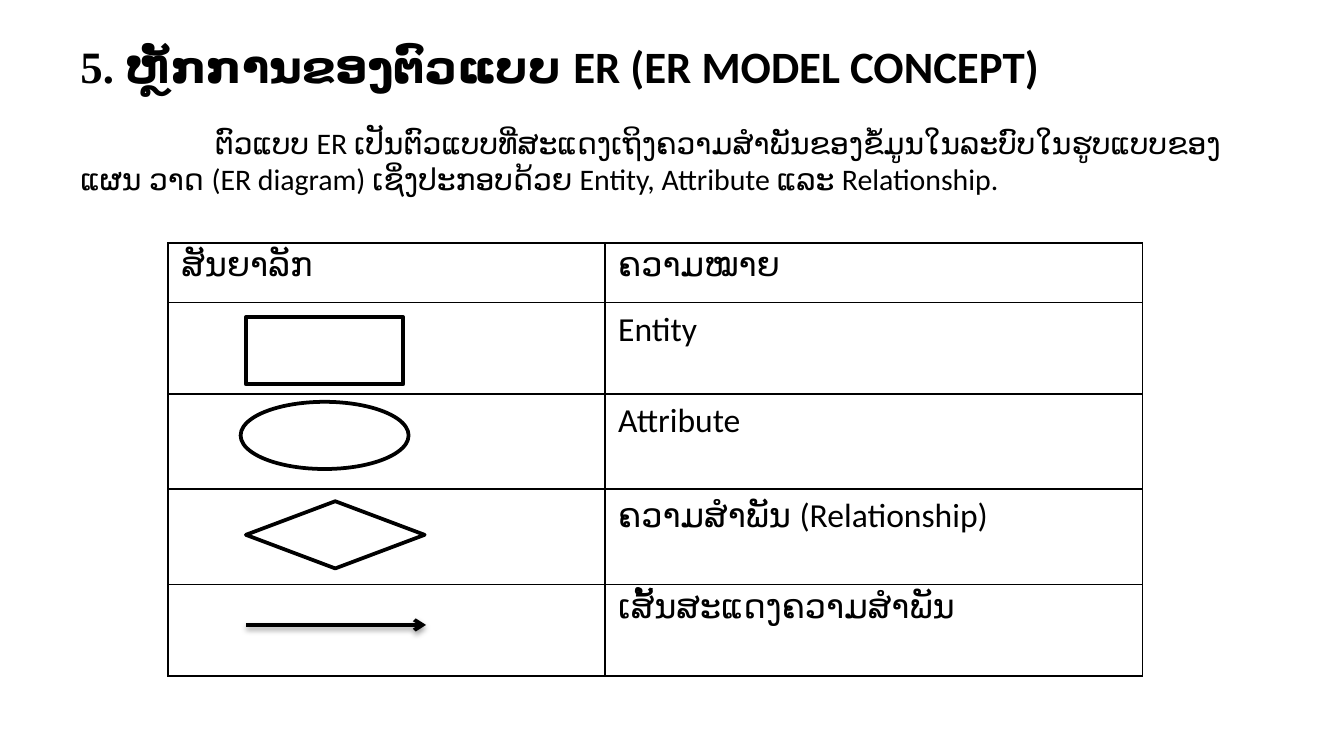
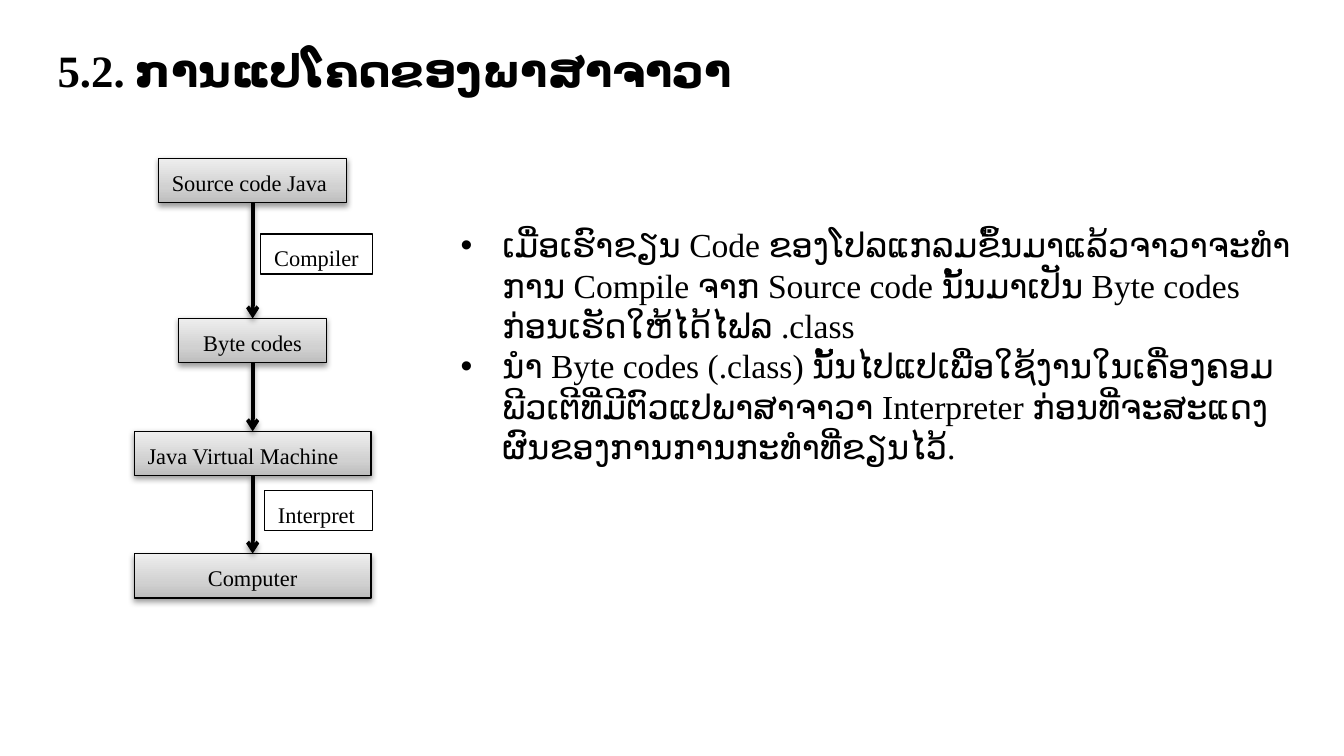
from typing import NamedTuple

from lxml import etree
from pptx import Presentation
from pptx.dml.color import RGBColor
from pptx.enum.shapes import MSO_CONNECTOR, MSO_SHAPE
from pptx.enum.text import MSO_ANCHOR, MSO_AUTO_SIZE, PP_ALIGN
from pptx.oxml import parse_xml
from pptx.oxml.ns import nsdecls, qn
from pptx.util import Emu, Pt

RECTANGLE = MSO_SHAPE.RECTANGLE
ELLIPSE = MSO_SHAPE.OVAL
DECISION = MSO_SHAPE.FLOWCHART_DECISION
STRAIGHT = MSO_CONNECTOR.STRAIGHT
TOP, MIDDLE = MSO_ANCHOR.TOP, MSO_ANCHOR.MIDDLE
LEFT, CENTER = PP_ALIGN.LEFT, PP_ALIGN.CENTER
GROW = MSO_AUTO_SIZE.SHAPE_TO_FIT_TEXT
SITE_TOP, SITE_BOTTOM = 0, 2

# Shared style: 100 px to the inch, slides 16:9
EMU_PER_PX = 9144
SLIDE_WIDTH = 1000
BLACK, WHITE = "000000", "FFFFFF"
SANS, SERIF = "Calibri", "Times New Roman"
GRADIENT_STOPS = [(0, "BDBDBD"), (35, "D1D1D1"), (100, "EEEEEE")]
BORDER_TAGS = ("a:lnL", "a:lnR", "a:lnT", "a:lnB")


class Box(NamedTuple):
    left: int
    top: int
    width: int
    height: int


class Symbol(NamedTuple):
    kind: int
    box: Box


class Stage(NamedTuple):
    text: str
    top: int
    width: int
    align: int


class Label(NamedTuple):
    text: str
    box: Box
    align: int


def px(length: int) -> Emu:
    return Emu(length * EMU_PER_PX)


def place(box: Box) -> list[Emu]:
    return [px(length) for length in box]


def color(value: str) -> RGBColor:
    return RGBColor.from_string(value)


def format_run(run, size: int, font: str, bold: bool = False) -> None:
    run.font.size = Pt(size)
    run.font.name = font
    run.font.bold = bold
    run.font.color.rgb = color(BLACK)


def add_text_box(slide, box: Box, anchor: int = TOP):
    shape = slide.shapes.add_textbox(*place(box))
    shape.text_frame.word_wrap = True
    shape.text_frame.vertical_anchor = anchor
    return shape


def add_title(slide, box: Box, parts: list[tuple[str, str]], anchor: int):
    shape = add_text_box(slide, box, anchor)
    for text, font in parts:
        run = shape.text_frame.paragraphs[0].add_run()
        run.text = text
        format_run(run, 24, font, bold=True)
    return shape


def add_outlined(slide, kind: int, box: Box, line_width: float):
    shape = slide.shapes.add_shape(kind, *place(box))
    shape.shadow.inherit = False
    shape.fill.solid()
    shape.fill.fore_color.rgb = color(WHITE)
    shape.line.color.rgb = color(BLACK)
    shape.line.width = Pt(line_width)
    return shape


def add_flow_box(slide, box: Box, text: str, align: int, anchor: int):
    shape = add_outlined(slide, RECTANGLE, box, 0.75)
    frame = shape.text_frame
    frame.word_wrap = True
    frame.vertical_anchor = anchor
    frame.text = text
    paragraph = frame.paragraphs[0]
    paragraph.alignment = align
    paragraph.line_spacing = 1.15
    paragraph.space_after = Pt(10)
    format_run(paragraph.runs[0], 12, SERIF)
    return shape


def set_gradient(shape) -> None:
    stops = "".join(
        f'<a:gs pos="{percent * 1000}"><a:srgbClr val="{value}"/></a:gs>'
        for percent, value in GRADIENT_STOPS
    )
    properties = shape._element.spPr
    properties.replace(properties.find(qn("a:solidFill")), parse_xml(
        f'<a:gradFill {nsdecls("a")} rotWithShape="1"><a:gsLst>{stops}</a:gsLst>'
        '<a:lin ang="16200000" scaled="0"/></a:gradFill>'
    ))


def set_shadow(shape) -> None:
    properties = shape._element.spPr
    effects = properties.find(qn("a:effectLst"))
    if effects is None:
        effects = etree.SubElement(properties, qn("a:effectLst"))
    effects.append(parse_xml(
        f'<a:outerShdw {nsdecls("a")} blurRad="{Pt(3.1)}" dist="{Pt(1.6)}" '
        f'dir="5400000" rotWithShape="0"><a:srgbClr val="{BLACK}">'
        '<a:alpha val="38000"/></a:srgbClr></a:outerShdw>'
    ))


def add_arrow(slide, start: tuple[int, int], end: tuple[int, int]):
    arrow = slide.shapes.add_connector(STRAIGHT, *map(px, start + end))
    arrow.line.color.rgb = color(BLACK)
    arrow.line.width = Pt(2)
    etree.SubElement(arrow.line._ln, qn("a:tailEnd"), type="arrow")
    set_shadow(arrow)
    return arrow


def set_borders(cell) -> None:
    properties = cell._tc.get_or_add_tcPr()
    for index, tag in enumerate(BORDER_TAGS):
        properties.insert(index, parse_xml(
            f'<{tag} {nsdecls("a")} w="{Pt(1)}"><a:solidFill>'
            f'<a:srgbClr val="{BLACK}"/></a:solidFill></{tag}>'
        ))


def add_bullet(paragraph, indent: int) -> None:
    properties = paragraph._p.get_or_add_pPr()
    properties.set("marL", str(px(indent)))
    properties.set("indent", str(-px(indent)))
    etree.SubElement(properties, qn("a:buFont"), typeface="Arial")
    etree.SubElement(properties, qn("a:buChar"), char="•")


# Slide 1: symbols of the ER model
INTRO = (
    "ຕົວແບບ ER ເປັນຕົວແບບທີ່ສະແດງເຖິງຄວາມສຳພັນຂອງຂໍ້ມູນໃນລະບົບໃນຮູບແບບຂອງແຜນ ວາດ "
    "(ER diagram) ເຊິ່ງປະກອບດ້ວຍ Entity, Attribute ແລະ Relationship."
)
MEANINGS = [
    ("ສັນຍາລັກ", "ຄວາມໝາຍ"),
    ("", "Entity"),
    ("", "Attribute"),
    ("", "ຄວາມສຳພັນ (Relationship)"),
    ("", "ເສັ້ນສະແດງຄວາມສໍາພັນ"),
]
COLUMN_WIDTHS = [325, 400]
ROW_HEIGHTS = [44, 68, 71, 71, 68]
SYMBOLS = [
    Symbol(RECTANGLE, Box(183, 236, 117, 50)),
    Symbol(ELLIPSE, Box(179, 299, 125, 50)),
    Symbol(DECISION, Box(183, 373, 133, 50)),
]


def add_meaning_table(slide) -> None:
    box = Box(125, 181, sum(COLUMN_WIDTHS), sum(ROW_HEIGHTS))
    table = slide.shapes.add_table(
        len(ROW_HEIGHTS), len(COLUMN_WIDTHS), *place(box)
    ).table
    table.first_row = table.horz_banding = False
    for column, width in zip(table.columns, COLUMN_WIDTHS):
        column.width = px(width)
    for row, height, texts in zip(table.rows, ROW_HEIGHTS, MEANINGS):
        row.height = px(height)
        for cell, text in zip(row.cells, texts):
            cell.fill.background()
            set_borders(cell)
            cell.text = text
            for run in cell.text_frame.paragraphs[0].runs:
                format_run(run, 18, SANS)


def build_er_slide(slide) -> None:
    add_title(slide, Box(50, 23, 900, 52), [
        ("5. ", SERIF),
        ("ຫຼັກການຂອງຕົວແບບ ER (ER MODEL CONCEPT)", SANS),
    ], MIDDLE)
    frame = add_text_box(slide, Box(50, 88, 900, 431)).text_frame
    frame.text = INTRO
    paragraph = frame.paragraphs[0]
    paragraph._p.get_or_add_pPr().set("indent", str(px(100)))
    format_run(paragraph.runs[0], 16, SANS)
    add_meaning_table(slide)
    for symbol in SYMBOLS:
        add_outlined(slide, symbol.kind, symbol.box, 2)
    add_arrow(slide, (183, 465), (317, 465))


# Slide 2: from Java source code to the computer
FLOW_AXIS = 188
STAGE_HEIGHT = 33
STAGES = [
    Stage("Source code Java", 118, 140, LEFT),
    Stage("Byte codes", 237, 110, CENTER),
    Stage("Java Virtual Machine", 321, 176, LEFT),
    Stage("Computer", 412, 176, CENTER),
]
LABELS = [
    Label("Compiler", Box(194, 174, 83, 30), CENTER),
    Label("Interpret", Box(197, 365, 80, 30), LEFT),
]
STEPS = [
    "ເມື່ອເຮົາຂຽນ Code ຂອງໂປລແກລມຂຶ້ນມາແລ້ວຈາວາຈະທໍາການ Compile ຈາກ Source code "
    "ນັ້ນມາເປັນ Byte codes ກ່ອນເຮັດໃຫ້ໄດ້ໄຟລ .class",
    "ນໍາ Byte codes (.class) ນັ້ນໄປແປເພື່ອໃຊ້ງານໃນເຄື່ອງຄອມພີວເຕີທີ່ມີຕົວແປພາສາຈາວາ "
    "Interpreter ກ່ອນທີ່ຈະສະແດງຜົນຂອງການການກະທໍາທີ່ຂຽນໄວ້.",
]


def build_java_slide(slide) -> None:
    title = add_title(
        slide, Box(33, 25, 900, 94), [("5.2. ການແປໂຄດຂອງພາສາຈາວາ", SERIF)], TOP
    )
    title.text_frame.margin_top = px(7)

    # Flow of stages, joined by arrows
    boxes = []
    for stage in STAGES:
        left = FLOW_AXIS - stage.width // 2
        box = Box(left, stage.top, stage.width, STAGE_HEIGHT)
        shape = add_flow_box(slide, box, stage.text, stage.align, MIDDLE)
        set_gradient(shape)
        set_shadow(shape)
        boxes.append(shape)
    for index in range(len(STAGES) - 1):
        start = (FLOW_AXIS, STAGES[index].top + STAGE_HEIGHT)
        arrow = add_arrow(slide, start, (FLOW_AXIS, STAGES[index + 1].top))
        arrow.begin_connect(boxes[index], SITE_BOTTOM)
        arrow.end_connect(boxes[index + 1], SITE_TOP)
    for label in LABELS:
        add_flow_box(slide, label.box, label.text, label.align, TOP)

    # Explanation
    frame = add_text_box(slide, Box(333, 162, 650, 192)).text_frame
    frame.auto_size = GROW
    frame.text = "\n".join(STEPS)
    for paragraph in frame.paragraphs:
        add_bullet(paragraph, 31)
        format_run(paragraph.runs[0], 18, SERIF)


def main() -> None:
    presentation = Presentation()
    presentation.slide_width = px(SLIDE_WIDTH)
    presentation.slide_height = Emu(px(SLIDE_WIDTH) * 9 // 16)
    blank = presentation.slide_layouts[6]
    for build in (build_er_slide, build_java_slide):
        build(presentation.slides.add_slide(blank))
    presentation.save("out.pptx")


if __name__ == "__main__":
    main()
